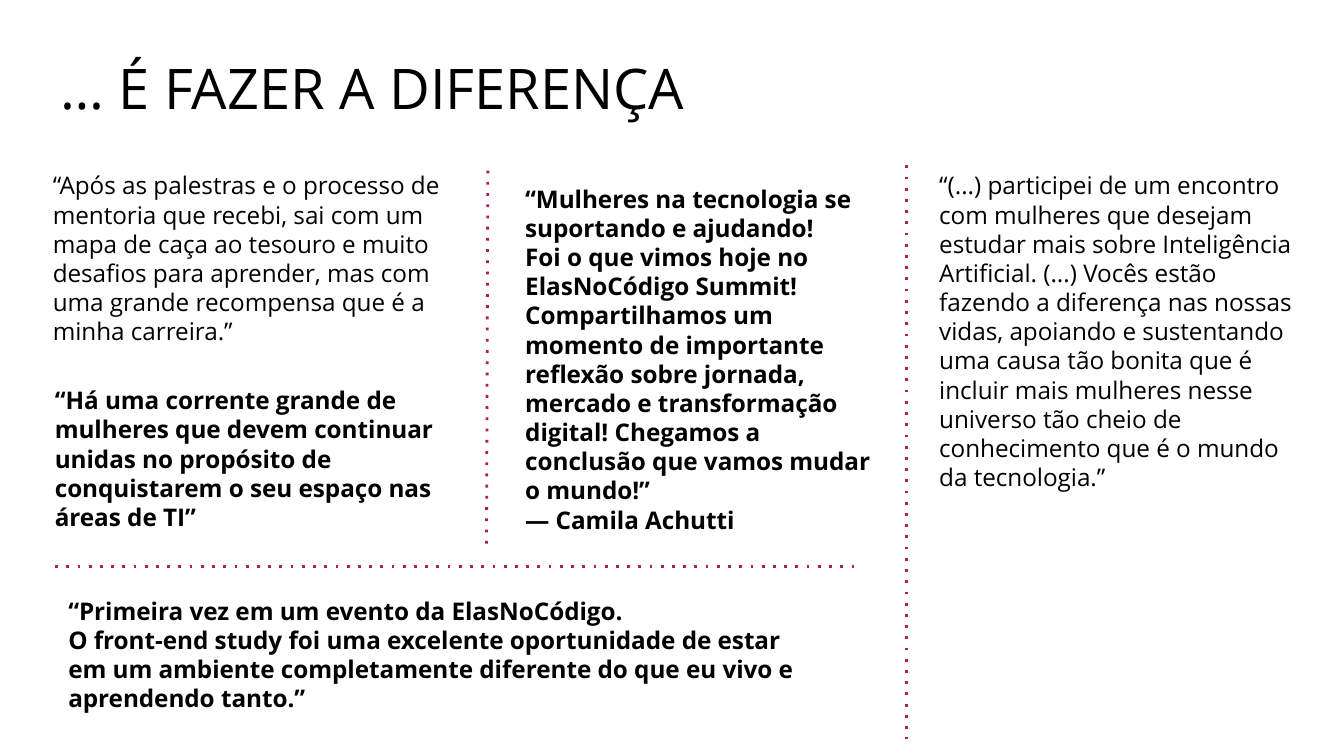
from dataclasses import dataclass

from lxml import etree
from pptx import Presentation
from pptx.dml.color import RGBColor
from pptx.enum.shapes import MSO_CONNECTOR
from pptx.enum.text import MSO_ANCHOR
from pptx.oxml.ns import qn
from pptx.util import Emu, Pt

LINE = MSO_CONNECTOR.STRAIGHT
TOP = MSO_ANCHOR.TOP
MID = MSO_ANCHOR.MIDDLE


@dataclass(frozen=True)
class Theme:
    """Colours, font and type sizes of the slide."""

    ink: RGBColor = RGBColor(0, 0, 0)
    rose: RGBColor = RGBColor(0xB1, 0x1C, 0x54)
    font: str = "Open Sans"
    head: int = 30
    body: int = 13
    rule: float = 1.5


THEME = Theme()


def px(n):
    """Turn px, two hundred to the inch, into EMU."""
    return Emu(n * 4572)


def put_text(slide, box, text, size=THEME.body, bold=False, anchor=TOP):
    """Place a wrapped text box with one paragraph for each line of text."""
    frame = slide.shapes.add_textbox(*map(px, box)).text_frame
    frame.word_wrap = True
    frame.vertical_anchor = anchor
    frame.margin_left = frame.margin_right = px(20)
    frame.margin_top = frame.margin_bottom = px(20)
    frame.text = text
    for para in frame.paragraphs:
        for run in para.runs:
            run.font.name = THEME.font
            run.font.size = Pt(size)
            run.font.bold = bold
            run.font.color.rgb = THEME.ink


def put_rule(slide, *ends):
    """Draw a dotted rule between two points."""
    rule = slide.shapes.add_connector(LINE, *map(px, ends))
    rule.line.color.rgb = THEME.rose
    rule.line.width = Pt(THEME.rule)
    props = rule._element.spPr
    etree.SubElement(props.find(qn("a:ln")), qn("a:prstDash"), val="dot")
    etree.SubElement(props, qn("a:effectLst"))


def put_head(slide, box, text):
    """Place the slide title."""
    put_text(slide, box, text, size=THEME.head, anchor=MID)


def put_left(slide, box, first, second):
    """Stack two quotes with a rule down their right side."""
    x, y, w, h = box
    put_text(slide, (x, y, w, 326), first)
    put_text(slide, (x + 3, y + 290, w, 316), second, bold=True, anchor=MID)
    put_rule(slide, x + w + 7, y + 20, x + w + 5, y + h - 30)


def put_mid(slide, box, text):
    """Place the bold quote of the middle column."""
    put_text(slide, box, text, bold=True)


def put_foot(slide, box, text):
    """Place the bottom quote under a rule."""
    x, y, w, h = box
    put_rule(slide, x, y, x + w, y)
    put_text(slide, (x, y + 5, w - 38, h - 5), text, bold=True, anchor=MID)


def put_right(slide, box, text):
    """Place the right quote beside a tall rule."""
    x, y, w, h = box
    put_rule(slide, x, y + 12, x, y + h)
    put_text(slide, (x + 29, y, w - 29, 556), text)


def main():
    """Build and save the slide."""
    deck = Presentation()
    deck.slide_width, deck.slide_height = px(2000), px(1125)
    slide = deck.slides.add_slide(deck.slide_layouts[6])
    put_head(slide, (70, 31, 1278, 198), "… É FAZER A DIFERENÇA")
    put_left(
        slide,
        (59, 234, 660, 606),
        "“Após as palestras e o processo de mentoria que recebi, sai com um "
        "mapa de caça ao tesouro e muito desafios para aprender, mas com uma "
        "grande recompensa que é a minha carreira.”",
        "“Há uma corrente grande de mulheres que devem continuar unidas no "
        "propósito de conquistarem o seu espaço nas áreas de TI”",
    )
    put_mid(
        slide,
        (762, 254, 574, 528),
        "“Mulheres na tecnologia se suportando e ajudando!\n"
        "Foi o que vimos hoje no ElasNoCódigo Summit! Compartilhamos um "
        "momento de importante reflexão sobre jornada, mercado e "
        "transformação digital! Chegamos a conclusão que vamos mudar o "
        "mundo!”\n— Camila Achutti",
    )
    put_foot(
        slide,
        (82, 843, 1192, 257),
        "“Primeira vez em um evento da ElasNoCódigo.\n"
        "O front-end study foi uma excelente oportunidade de estar em um "
        "ambiente completamente diferente do que eu vivo e aprendendo tanto.”",
    )
    put_right(
        slide,
        (1349, 234, 603, 866),
        "“(...) participei de um encontro com mulheres que desejam estudar "
        "mais sobre Inteligência Artificial. (...) Vocês estão fazendo a "
        "diferença nas nossas vidas, apoiando e sustentando uma causa tão "
        "bonita que é incluir mais mulheres nesse universo tão cheio de "
        "conhecimento que é o mundo da tecnologia.”",
    )
    deck.save("out.pptx")


if __name__ == "__main__":
    main()
